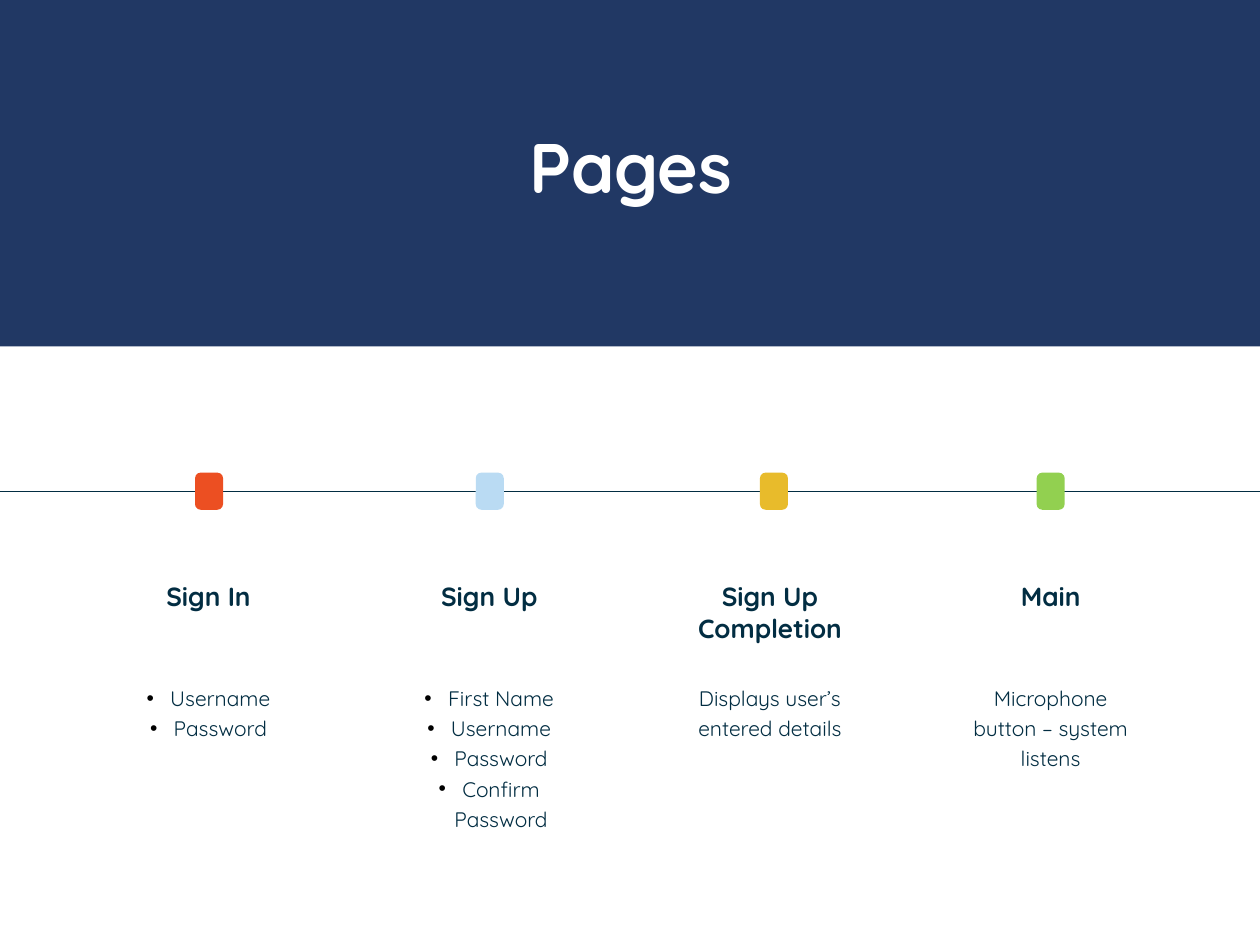
from lxml import etree
from pptx import Presentation
from pptx.dml.color import RGBColor
from pptx.enum import shapes, text
from pptx.oxml import ns
from pptx.util import Pt

NAVY = RGBColor(0x1A, 0x32, 0x60)
INK = RGBColor(0x02, 0x2D, 0x42)
WHITE = RGBColor(0xFF, 0xFF, 0xFF)
RED = RGBColor(0xEC, 0x4F, 0x22)
SKY = RGBColor(0xBA, 0xDB, 0xF3)
GOLD = RGBColor(0xE8, 0xBB, 0x2B)
GREEN = RGBColor(0x92, 0xD0, 0x50)

SLIDE_W, SLIDE_H = 720, 540
COLUMN_LEFT, COLUMN_STEP, COLUMN_W = 69.12, 160.4, 100.08
HEADING_TOP, DETAIL_TOP = 331.8, 388.8
TIMELINE_Y = 280.7
MARKER_W, MARKER_H = 16, 21.2
BULLET_INDENT = 13.5

# heading, marker colour, marker left, detail lines, bulleted
PAGES = [
    ("Sign In", RED, 111.5, ["Username", "Password"], True),
    ("Sign Up", SKY, 271.9,
     ["First Name", "Username", "Password", "Confirm Password"], True),
    ("Sign Up Completion", GOLD, 434.3, ["Displays user’s entered details"], False),
    ("Main", GREEN, 592.4, ["Microphone button – system listens"], False),
]


def add_child(parent, tag, **attributes):
    return etree.SubElement(parent, ns.qn(tag), **attributes)


def add_bullet(paragraph):
    properties = paragraph._p.get_or_add_pPr()
    properties.set("marL", str(Pt(BULLET_INDENT)))
    properties.set("indent", str(-Pt(BULLET_INDENT)))
    add_child(add_child(properties, "a:buClr"), "a:srgbClr", val="000000")
    add_child(properties, "a:buFont", typeface="Arial")
    add_child(properties, "a:buChar", char="•")


def write(paragraph, content, *, size, color, font, bold=False, spacing=None,
          bulleted=False):
    paragraph.alignment = text.PP_ALIGN.CENTER
    if spacing:
        paragraph.line_spacing = spacing
    if bulleted:
        add_bullet(paragraph)
    run = paragraph.add_run()
    run.text = content
    run.font.name = font
    run.font.size = Pt(size)
    run.font.bold = bold
    run.font.color.rgb = color


class SlideBuilder:
    font = "Quicksand"

    def __init__(self, slide):
        self.slide = slide

    def box(self, kind, left, top, width, height, color, opacity=None):
        shape = self.slide.shapes.add_shape(
            kind, Pt(left), Pt(top), Pt(width), Pt(height))
        shape.shadow.inherit = False
        shape.fill.solid()
        shape.fill.fore_color.rgb = color
        shape.line.fill.background()
        if opacity:
            srgb = shape._element.spPr.find(".//" + ns.qn("a:srgbClr"))
            add_child(srgb, "a:alpha", val=str(opacity * 1000))
        return shape

    def text(self, lines, left, top, width, height, parent=None, **style):
        holder = parent or self.slide
        frame = holder.shapes.add_textbox(
            Pt(left), Pt(top), Pt(width), Pt(height)).text_frame
        frame.word_wrap = True
        frame.auto_size = text.MSO_AUTO_SIZE.SHAPE_TO_FIT_TEXT
        frame.margin_left = frame.margin_right = 0
        frame.margin_top = frame.margin_bottom = 0
        for index, line in enumerate(lines):
            paragraph = frame.add_paragraph() if index else frame.paragraphs[0]
            write(paragraph, line, font=self.font, **style)

    def line(self, x1, y1, x2, y2, color, width):
        connector = self.slide.shapes.add_connector(
            shapes.MSO_CONNECTOR.STRAIGHT, Pt(x1), Pt(y1), Pt(x2), Pt(y2))
        connector.line.color.rgb = color
        connector.line.width = Pt(width)
        add_child(connector._element.spPr, "a:effectLst")

    def marker(self, left, color):
        marker = self.box(shapes.MSO_SHAPE.ROUNDED_RECTANGLE, left,
                          TIMELINE_Y - MARKER_H / 2, MARKER_W, MARKER_H, color)
        marker.adjustments[0] = 0.2

    def page_column(self, left, heading, details, bulleted):
        column = self.slide.shapes.add_group_shape()
        self.text([heading], left, HEADING_TOP, COLUMN_W, 18, parent=column,
                  size=15, color=INK, bold=True)
        self.text(details, left, DETAIL_TOP, COLUMN_W, 17.4 * len(details),
                  parent=column, size=12, color=INK, spacing=1.2,
                  bulleted=bulleted)


def main():
    deck = Presentation()
    deck.slide_width, deck.slide_height = Pt(SLIDE_W), Pt(SLIDE_H)
    builder = SlideBuilder(deck.slides.add_slide(deck.slide_layouts[6]))

    # Title band
    builder.box(shapes.MSO_SHAPE.RECTANGLE, 0, 0, SLIDE_W, 198, NAVY, opacity=97)
    builder.text(["Pages"], 86.4, 70.6, 547.9, 48.2,
                 size=40, color=WHITE, bold=True)

    # Page descriptions
    for index, (heading, _, _, details, bulleted) in enumerate(PAGES):
        builder.page_column(COLUMN_LEFT + index * COLUMN_STEP,
                            heading, details, bulleted)

    # Timeline with one marker per page
    builder.line(0, TIMELINE_Y, SLIDE_W, TIMELINE_Y, INK, 0.75)
    for _, color, marker_left, _, _ in PAGES:
        builder.marker(marker_left, color)

    deck.save("out.pptx")


if __name__ == "__main__":
    main()
